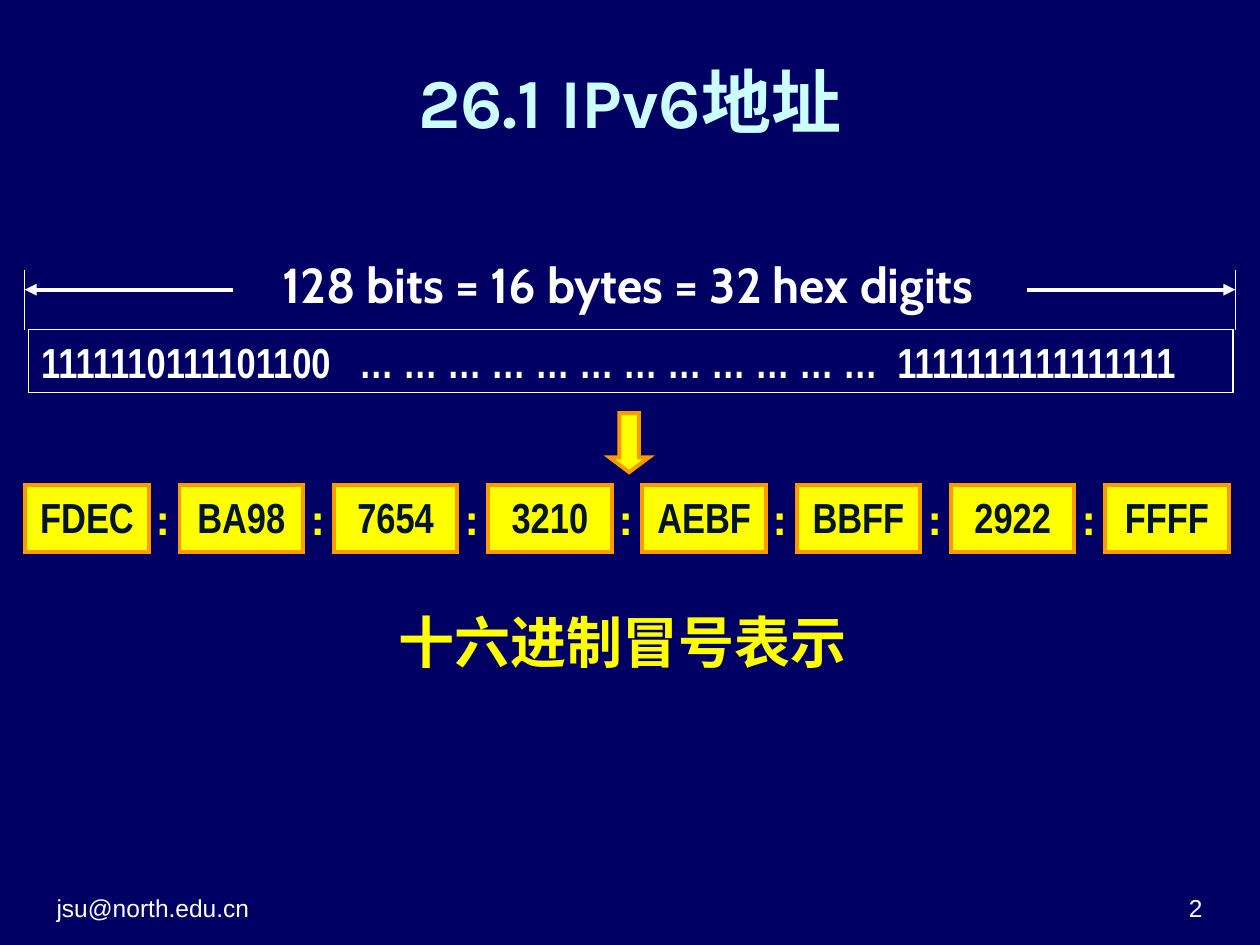
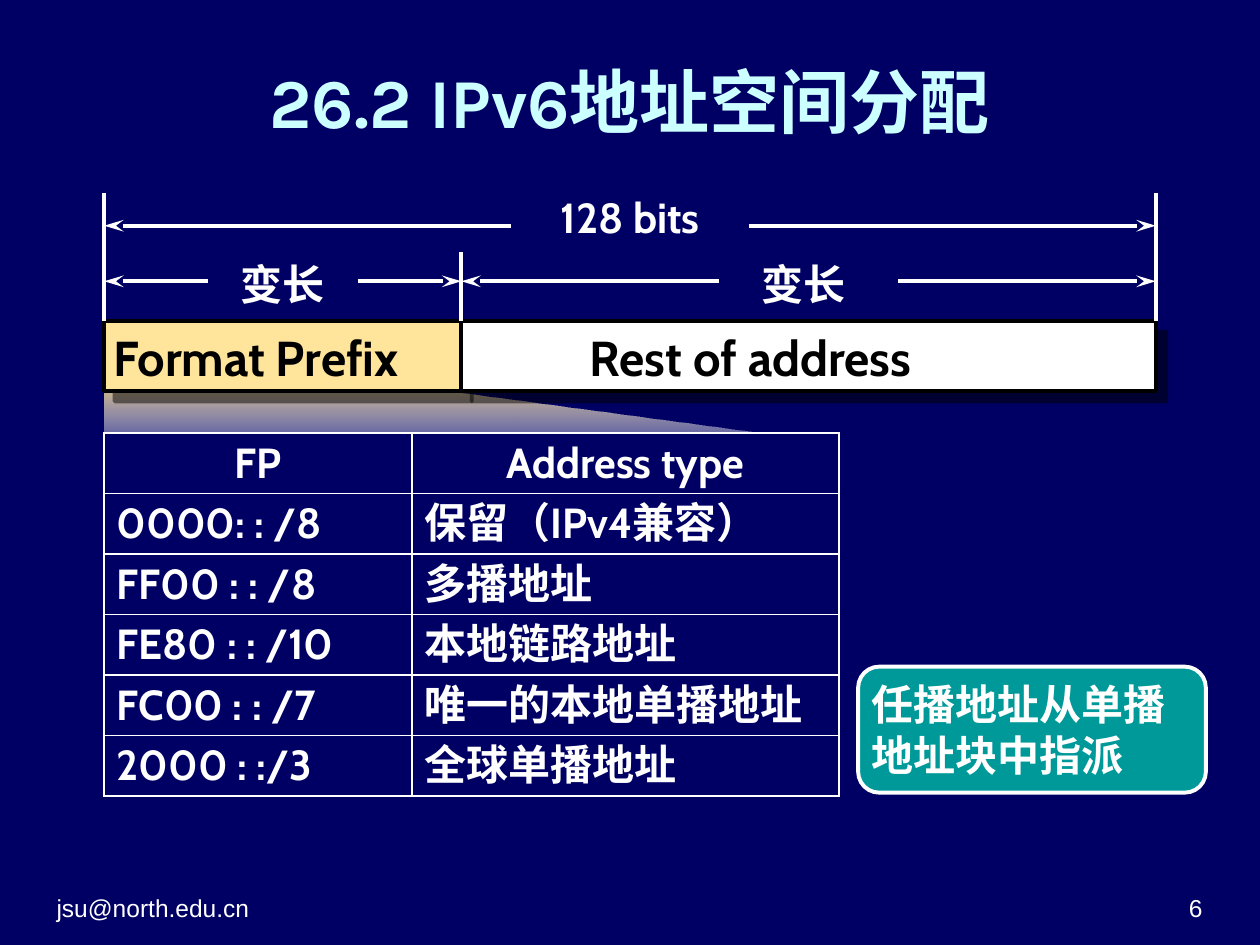
from lxml import etree
from pptx import Presentation
from pptx.dml.color import RGBColor
from pptx.enum.shapes import MSO_CONNECTOR, MSO_SHAPE as SHAPE
from pptx.enum.text import MSO_ANCHOR as ANCHOR, MSO_AUTO_SIZE, PP_ALIGN as ALIGN
from pptx.oxml.ns import qn
from pptx.util import Cm, Pt

COLORS = {
    "navy": "000064", "white": "FFFFFF", "black": "000000", "ice": "CCFFFF",
    "yellow": "FFFF00", "orange": "FF9900", "ink": "00152A",
    "sand": "FFE59B", "teal": "009999",
}
RGB = {name: RGBColor.from_string(value) for name, value in COLORS.items()}


def write(holder, text, font="Cabin", size=24, color="white", align=ALIGN.LEFT,
          bold=True, anchor=ANCHOR.TOP, wrap=True, spacing=None):
    """Fill a shape or table cell with one formatted paragraph."""
    frame = holder.text_frame
    frame.text = text
    frame.word_wrap = wrap
    frame.vertical_anchor = anchor
    para = frame.paragraphs[0]
    para.alignment = align
    para.line_spacing = spacing
    para.font.size = Pt(size)
    para.font.bold = bold
    para.font.color.rgb = RGB[color]
    para.font.name = font
    defaults = para._p.pPr.find(qn("a:defRPr"))
    etree.SubElement(defaults, qn("a:ea"), typeface=font)
    return para


def add_line(page, start, end, width=2.25, arrow=None, arrow_length="med"):
    """Draw a white line between two (x, y) points in cm, with an optional arrowhead."""
    line = page.shapes.add_connector(
        MSO_CONNECTOR.STRAIGHT, *[Cm(value) for value in start + end])
    line.line.color.rgb = RGB["white"]
    line.line.width = Pt(width)
    properties = line._element.spPr
    if arrow:
        etree.SubElement(
            properties.find(qn("a:ln")), qn("a:tailEnd"), type=arrow, len=arrow_length)
    etree.SubElement(properties, qn("a:effectLst"))


deck = Presentation()
deck.slide_width, deck.slide_height = Cm(25.4), Cm(19.05)
background = deck.slide_master.background.fill
background.solid()
background.fore_color.rgb = RGB["navy"]

# Titles and footers
pages = []
for title_text, number in [("26.1 IPv6地址", "2"), ("26.2 IPv6地址空间分配", "6")]:
    page = deck.slides.add_slide(deck.slide_layouts[5])
    title = page.shapes.title
    title.left, title.top, title.width, title.height = Cm(0.89), Cm(0.33), Cm(23.6), Cm(3.4)
    write(title, title_text, "Karla", 40, "ice", ALIGN.CENTER, anchor=ANCHOR.MIDDLE)
    title.text_frame.auto_size = MSO_AUTO_SIZE.NONE
    for left, text, align in [(0.89, "jsu@north.edu.cn", ALIGN.LEFT),
                              (18.57, number, ALIGN.RIGHT)]:
        footer = page.shapes.add_textbox(Cm(left), Cm(17.53), Cm(5.92), Cm(1.19))
        write(footer, text, "Arial", 14, align=align, bold=False, anchor=ANCHOR.BOTTOM)
    pages.append(page)
notation_page, allocation_page = pages

# Hexadecimal colon notation
shapes = notation_page.shapes
arrow = shapes.add_shape(SHAPE.DOWN_ARROW, Cm(12.29), Cm(8.33), Cm(0.79), Cm(1.19))
arrow.adjustments[1] = 0.376
yellow_shapes = [arrow]

groups = ["FDEC", "BA98", "7654", "3210", "AEBF", "BBFF", "2922", "FFFF"]
for index, digits in enumerate(groups):
    left = 0.51 + 3.11 * index
    box = shapes.add_shape(SHAPE.RECTANGLE, Cm(left), Cm(9.78), Cm(2.49), Cm(1.35))
    write(box, digits, "Arial Narrow", 24, "ink", ALIGN.CENTER)
    yellow_shapes.append(box)
    if index < len(groups) - 1:
        colon = shapes.add_textbox(Cm(left + 2.39), Cm(9.68), Cm(0.79), Cm(1.45))
        write(colon, ":", "Cabin", 28, "yellow", ALIGN.CENTER, wrap=False)

for shape in yellow_shapes:
    shape.shadow.inherit = False
    shape.fill.solid()
    shape.fill.fore_color.rgb = RGB["yellow"]
    shape.line.color.rgb = RGB["orange"]
    shape.line.width = Pt(2.25)
    etree.SubElement(shape._element.spPr.find(qn("a:ln")), qn("a:miter"), lim="800000")

bits = shapes.add_shape(SHAPE.RECTANGLE, Cm(0.58), Cm(6.65), Cm(24.28), Cm(1.27))
bits.shadow.inherit = False
bits.fill.background()
bits.line.color.rgb = RGB["white"]
bits.line.width = Pt(0.75)
dots = " ".join("…" * 12)
para = write(bits, f"1111110111101100\t{dots}\t1111111111111111", "Arial Narrow")
tabs = etree.Element(qn("a:tabLst"))
for position in (6.41, 17.26):
    etree.SubElement(tabs, qn("a:tab"), pos=str(Cm(position)), algn="l")
para._p.pPr.insert(0, tabs)

for edge, inner in [(0.5, 4.7), (24.9, 20.7)]:
    add_line(notation_page, (edge, 5.44), (edge, 6.65), 0.75)
    add_line(notation_page, (inner, 5.84), (edge, 5.84), arrow="triangle")

length = shapes.add_textbox(Cm(4.29), Cm(5), Cm(16.74), Cm(1.45))
write(length, "128 bits = 16 bytes = 32 hex digits", size=28, align=ALIGN.CENTER, wrap=False)
caption = shapes.add_textbox(Cm(7.3), Cm(12.12), Cm(10.5), Cm(1.63))
write(caption, "十六进制冒号表示", "Noto Sans CJK SC", 32, "yellow", ALIGN.CENTER, wrap=False)

# Address space allocation
shapes = allocation_page.shapes
start, split, end = 2.1, 9.3, 23.3
bar_top, bar_height, table_top = 6.48, 1.4, 8.73
bar_bottom = bar_top + bar_height

builder = shapes.build_freeform(Cm(start), Cm(bar_bottom))
builder.add_line_segments([(Cm(x), Cm(y)) for x, y in [
    (start, table_top), (15.49, table_top), (8.89, bar_bottom)]])
wedge = builder.convert_to_shape()
wedge.shadow.inherit = False
wedge.line.fill.background()
wedge.fill.gradient()
wedge.fill.gradient_angle = 270
for stop, color in zip(wedge.fill.gradient_stops, ["sand", "white"]):
    stop.color.rgb = RGB[color]
for color, alpha in zip(wedge._element.spPr.iter(qn("a:srgbClr")), ["80000", "40000"]):
    etree.SubElement(color, qn("a:alpha"), val=alpha)

for left, right, color in [(start, split, "sand"), (split, end, "white")]:
    field = shapes.add_shape(
        SHAPE.RECTANGLE, Cm(left), Cm(bar_top), Cm(right - left), Cm(bar_height))
    field.fill.solid()
    field.fill.fore_color.rgb = RGB[color]
    field.line.color.rgb = RGB["black"]
    field.line.width = Pt(2.25)
    field.shadow.inherit = False
    shadow = etree.SubElement(
        field._element.spPr.find(qn("a:effectLst")), qn("a:outerShdw"),
        dist=str(Pt(8.5)), dir="2700000", algn="ctr", rotWithShape="0")
    shade = etree.SubElement(shadow, qn("a:srgbClr"), val=COLORS["black"])
    etree.SubElement(shade, qn("a:alpha"), val="50000")

for left, top, width, height, text, size, color, align, spacing in [
    (10.9, 4.06, 3.61, 0.89, "128 bits", 24, "white", ALIGN.CENTER, 21),
    (2.24, 6.76, 6.86, 1.09, "Format Prefix", 28, "black", ALIGN.LEFT, 27),
    (11.84, 6.76, 7.62, 1.09, "Rest of address", 28, "black", ALIGN.LEFT, 27),
]:
    label = shapes.add_textbox(Cm(left), Cm(top), Cm(width), Cm(height))
    write(label, text, "Cabin", size, color, align, anchor=ANCHOR.MIDDLE, spacing=Pt(spacing))
    frame = label.text_frame
    frame.margin_left = frame.margin_right = Cm(0.05)
    frame.margin_top = frame.margin_bottom = Cm(0.08)

for left in (4.29, 14.8):
    label = shapes.add_textbox(Cm(left), Cm(5.08), Cm(2.8), Cm(1.27))
    write(label, "变长", align=ALIGN.CENTER, wrap=False)

for x, top in [(start, 3.89), (split, 5.08), (end, 3.89)]:
    add_line(allocation_page, (x, top), (x, bar_top))
for inner, tip, y in [(10.31, start, 4.55), (15.09, end, 4.55),
                      (4.19, start, 5.67), (7.21, split, 5.67),
                      (14.5, split, 5.67), (18.11, end, 5.67)]:
    add_line(allocation_page, (inner, y), (tip, y), arrow="stealth", arrow_length="lg")

rows = [
    ("FP", "Address type"),
    ("0000: : /8", "保留（IPv4兼容）"),
    ("FF00 : : /8", "多播地址"),
    ("FE80 : : /10", "本地链路地址"),
    ("FC00 : : /7", "唯一的本地单播地址"),
    ("2000 : :/3", "全球单播地址"),
]
table = shapes.add_table(
    len(rows), 2, Cm(start), Cm(table_top), Cm(14.81), Cm(1.22 * len(rows))).table
table.first_row = table.horz_banding = False
for column, width in zip(table.columns, (6.2, 8.61)):
    column.width = Cm(width)
for row_index, row in enumerate(rows):
    table.rows[row_index].height = Cm(1.22)
    for column_index, text in enumerate(row):
        cell = table.cell(row_index, column_index)
        write(cell, text, align=ALIGN.LEFT if row_index else ALIGN.CENTER, spacing=0.95)
        cell.fill.background()
        for place, side in enumerate(["lnL", "lnR", "lnT", "lnB"]):
            border = etree.Element(qn(f"a:{side}"), w=str(Pt(1.08)))
            paint = etree.SubElement(border, qn("a:solidFill"))
            etree.SubElement(paint, qn("a:srgbClr"), val=COLORS["white"])
            cell._tc.tcPr.insert(place, border)

callout = shapes.add_shape(SHAPE.ROUNDED_RECTANGLE, Cm(17.3), Cm(13.44), Cm(7.01), Cm(2.54))
callout.shadow.inherit = False
callout.fill.solid()
callout.fill.fore_color.rgb = RGB["teal"]
callout.line.color.rgb = RGB["white"]
callout.line.width = Pt(2.25)
write(callout, "任播地址从单播地址块中指派")
callout.text_frame.margin_left = callout.text_frame.margin_right = Cm(0.15)

deck.save("out.pptx")
